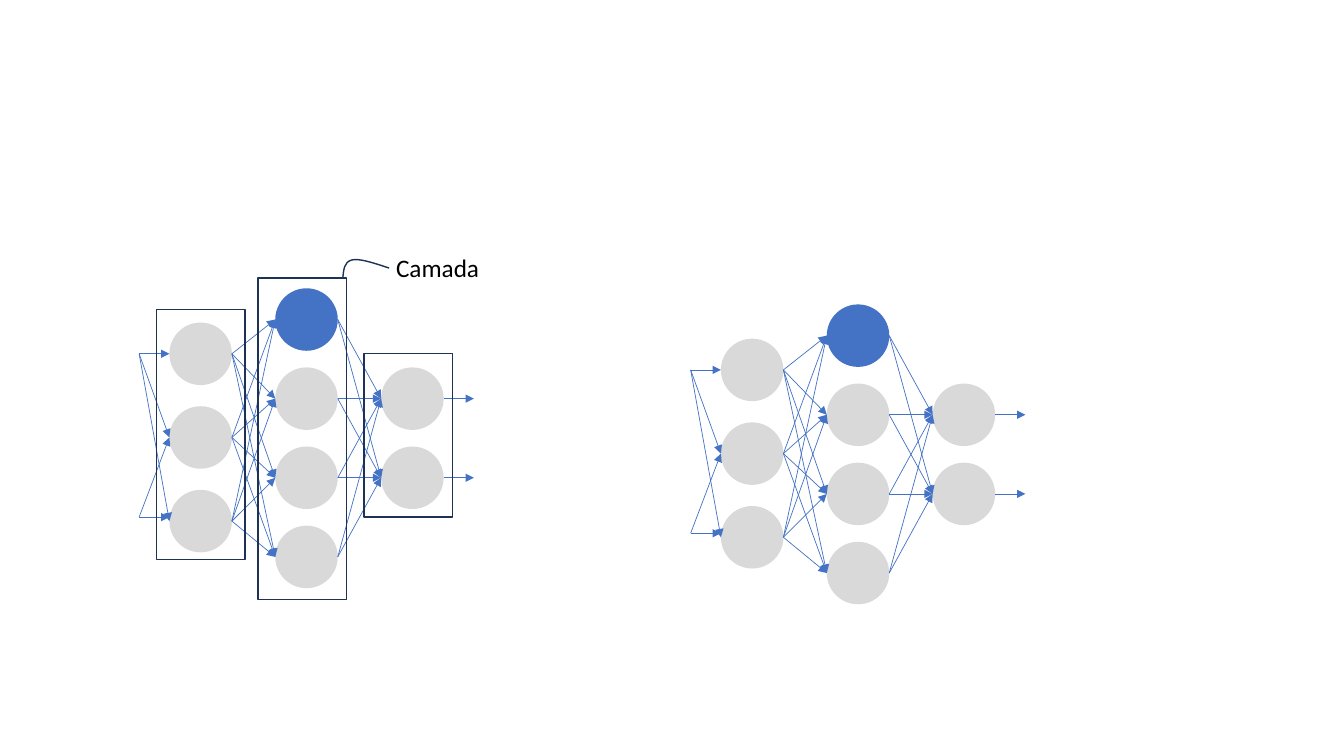
import itertools

import lxml.etree
import pptx
import pptx.dml.color
import pptx.enum.shapes
import pptx.enum.text
import pptx.oxml.ns
import pptx.util

Inches = pptx.util.Inches
Pt = pptx.util.Pt
qn = pptx.oxml.ns.qn

BLUE = "4472C4"
GREY = "D9D9D9"
NAVY = "1E3256"
DIAMETER = 0.62
ARROW_LENGTH = 0.3


def paint(color_format, hex_color):
    color_format.rgb = pptx.dml.color.RGBColor.from_string(hex_color)


def draw_network(slide, left, top):
    input_x, hidden_x, output_x = [left + 1.05 * column for column in range(3)]
    hidden_ys = [top + 0.785 * row for row in range(4)]
    output_ys = hidden_ys[1:3]
    input_ys = [top + 0.34 + 0.83 * row for row in range(3)]

    layers = [(hidden_x, hidden_ys), (output_x, output_ys), (input_x, input_ys)]
    for layer_x, neuron_ys in layers:
        for neuron_y in neuron_ys:
            neuron = slide.shapes.add_shape(
                pptx.enum.shapes.MSO_SHAPE.OVAL,
                Inches(layer_x), Inches(neuron_y - DIAMETER / 2),
                Inches(DIAMETER), Inches(DIAMETER))
            neuron.shadow.inherit = False
            neuron.fill.solid()
            highlighted = layer_x == hidden_x and neuron_y == top
            paint(neuron.fill.fore_color, BLUE if highlighted else GREY)
            neuron.line.fill.background()

    links = []
    for from_x, from_ys, to_x, to_ys in [
        (input_x, input_ys, hidden_x, hidden_ys),
        (hidden_x, hidden_ys, output_x, output_ys),
    ]:
        for from_y, to_y in itertools.product(from_ys, to_ys):
            links.append((from_x + DIAMETER, from_y, to_x, to_y))

    source_x = input_x - ARROW_LENGTH
    lower_source_y = top + 1.96
    for input_y in input_ys:
        links.append((source_x, input_ys[0], input_x, input_y))
    for end_y in (lower_source_y, input_ys[1]):
        links.append((source_x, lower_source_y, input_x, end_y))
    for output_y in output_ys:
        exit_x = output_x + DIAMETER
        links.append((exit_x, output_y, exit_x + ARROW_LENGTH, output_y))

    for link in links:
        arrow = slide.shapes.add_connector(
            pptx.enum.shapes.MSO_CONNECTOR.STRAIGHT, *map(Inches, link))
        paint(arrow.line.color, BLUE)
        arrow.line.width = Pt(0.5)
        arrow_line = arrow.line._get_or_add_ln()
        lxml.etree.SubElement(arrow_line, qn("a:tailEnd"), type="triangle")
        lxml.etree.SubElement(arrow._element.spPr, qn("a:effectLst"))


deck = pptx.Presentation()
deck.slide_width = Inches(13.33)
deck.slide_height = Inches(7.5)
slide = deck.slides.add_slide(deck.slide_layouts[6])

draw_network(slide, 1.68, 3.17)

outlines = []
for left, top, height in [(1.55, 3.07, 2.48), (2.56, 2.76, 3.19), (3.61, 3.51, 1.62)]:
    outlines.append(slide.shapes.add_shape(
        pptx.enum.shapes.MSO_SHAPE.RECTANGLE,
        Inches(left), Inches(top), Inches(0.88), Inches(height)))

layer_label = slide.shapes.add_textbox(
    Inches(3.83), Inches(2.45), Inches(1.35), Inches(0.4))
layer_label.text_frame.word_wrap = True
layer_label.text_frame.auto_size = pptx.enum.text.MSO_AUTO_SIZE.SHAPE_TO_FIT_TEXT
layer_label.text_frame.text = "Camada"
label_font = layer_label.text_frame.paragraphs[0].runs[0].font
label_font.name = "Calibri"
label_font.size = Pt(18)
paint(label_font.color, "000000")

curve_points = [(3.41, 2.68), (3.41, 2.6), (3.49, 2.58),
                (3.56, 2.56), (3.71, 2.61), (3.86, 2.66)]
leader_builder = slide.shapes.build_freeform(Inches(3.4), Inches(2.76))
leader_builder.add_line_segments(
    [(Inches(x), Inches(y)) for x, y in curve_points], close=False)
leader = leader_builder.convert_to_shape()
leader_path = next(leader._element.iter(qn("a:path")))
segments = leader_path.findall(qn("a:lnTo"))
for start in range(0, len(segments), 3):
    bezier = lxml.etree.SubElement(leader_path, qn("a:cubicBezTo"))
    for segment in segments[start:start + 3]:
        bezier.append(segment[0])
        leader_path.remove(segment)
outlines.append(leader)

for outline in outlines:
    outline.shadow.inherit = False
    outline.fill.background()
    paint(outline.line.color, NAVY)
    outline.line.width = Pt(1)

draw_network(slide, 7.15, 3.33)

deck.save("out.pptx")
